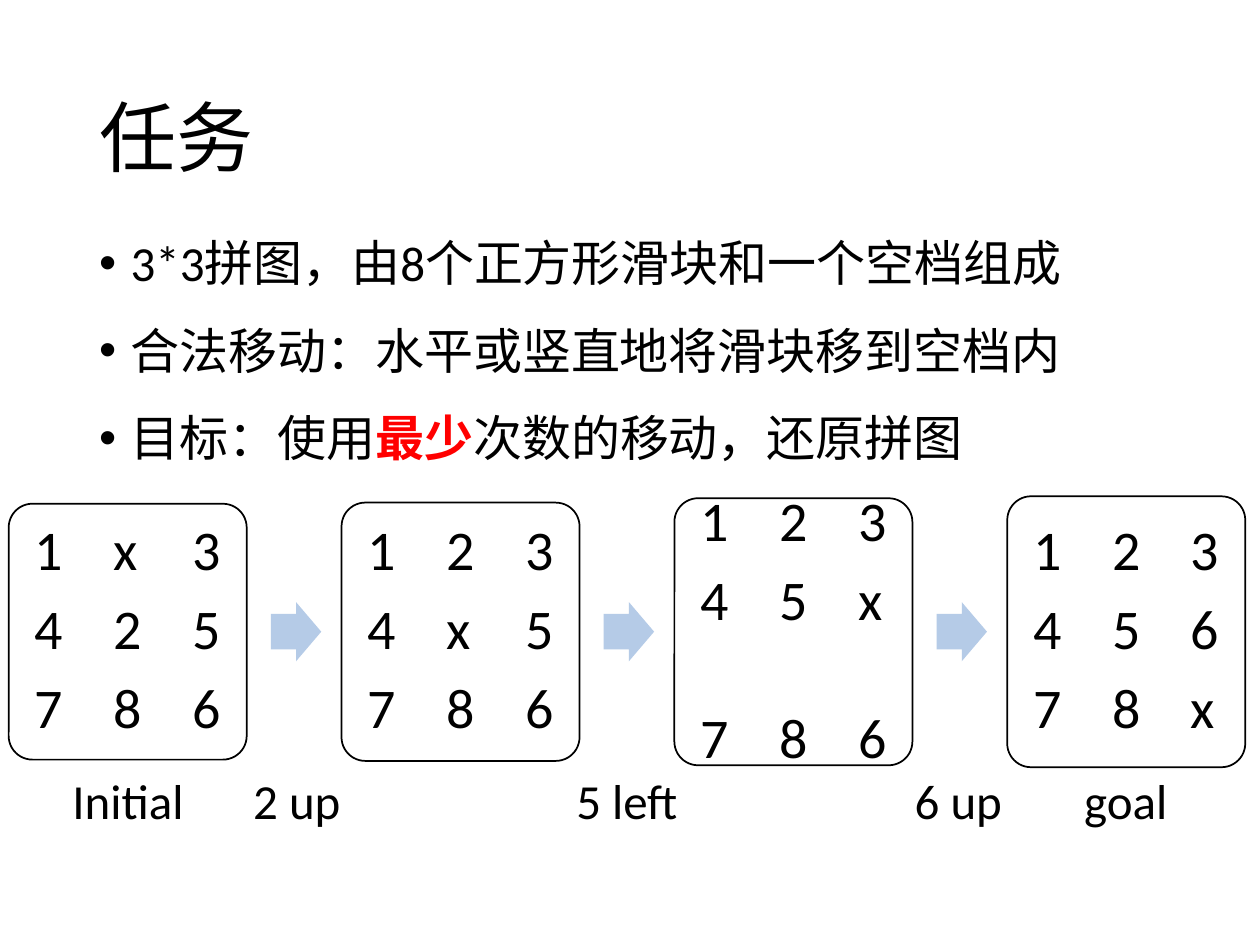
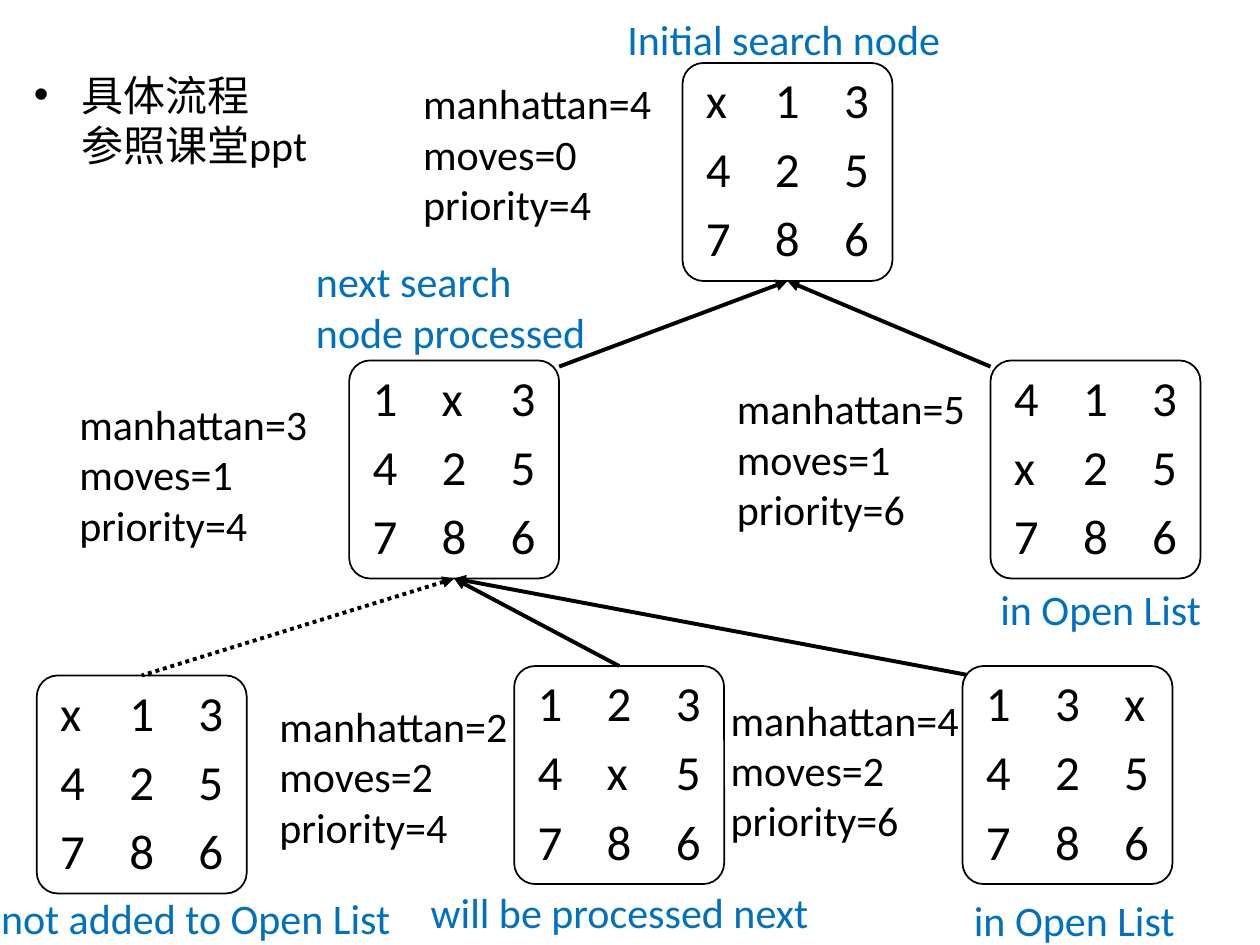
import pptx
import pptx.dml.color
import pptx.enum.dml
import pptx.enum.shapes
import pptx.enum.text
import pptx.oxml.ns
import pptx.util
from lxml import etree

Pt = pptx.util.Pt
SHAPES = pptx.enum.shapes.MSO_SHAPE
ALIGN = pptx.enum.text.PP_ALIGN
ANCHOR = pptx.enum.text.MSO_ANCHOR
qn = pptx.oxml.ns.qn

BLACK = pptx.dml.color.RGBColor(0x00, 0x00, 0x00)
RED = pptx.dml.color.RGBColor(0xFF, 0x00, 0x00)
BLUE = pptx.dml.color.RGBColor(0x00, 0x70, 0xC0)
PALE_BLUE = pptx.dml.color.RGBColor(0xB5, 0xCB, 0xE7)
FONT = "Calibri"
CORNER = 0.1          # corner radius of a board, as a share of its short side
TILE_PITCH = 1.41     # distance between tile columns, in ems
BOARD_TEXT = 3.33     # width of a row of three tiles, in ems


def write(frame, lines, size, colour=BLACK, hanging=None, bulleted=None, **layout):
    """Fill a text frame with lines, each a list of runs; layout holds paragraph formats."""
    frame.word_wrap = True
    frame.auto_size = pptx.enum.text.MSO_AUTO_SIZE.NONE
    for index, line in enumerate(lines):
        paragraph = frame.paragraphs[0] if index == 0 else frame.add_paragraph()
        for attribute, value in layout.items():
            setattr(paragraph, attribute, value)
        for words in line:
            run = paragraph.add_run()
            run.text = words
            run.font.name, run.font.size = FONT, Pt(size)
            run.font.color.rgb = colour
        if hanging:
            properties = paragraph._p.get_or_add_pPr()
            properties.set("marL", str(Pt(hanging)))
            properties.set("indent", str(-Pt(hanging) if index < bulleted else 0))
            if index < bulleted:
                etree.SubElement(properties, qn("a:buFont")).set("typeface", "Arial")
                etree.SubElement(properties, qn("a:buChar")).set("char", "•")
            else:
                etree.SubElement(properties, qn("a:buNone"))


def draw_board(slide, left, top, width, height, rows, size):
    """Draw a rounded puzzle board with three tile columns and return it."""
    board = slide.shapes.add_shape(SHAPES.ROUNDED_RECTANGLE, Pt(left), Pt(top),
                                   Pt(width), Pt(height))
    board.adjustments[0] = CORNER
    board.shadow.inherit = False
    board.fill.background()
    board.line.color.rgb, board.line.width = BLACK, Pt(1)
    frame = board.text_frame
    corner_inset = 0.29 * CORNER * min(width, height)
    margins = {"margin_left": Pt((width - BOARD_TEXT * size) / 2 - corner_inset),
               "margin_right": 0, "margin_top": Pt(9.4), "margin_bottom": Pt(9.4),
               "vertical_anchor": ANCHOR.MIDDLE}
    for attribute, value in margins.items():
        setattr(frame, attribute, value)
    write(frame, [["\t".join(row)] for row in rows.split()], size,
          alignment=ALIGN.LEFT, line_spacing=0.9, space_after=Pt(0.33 * size))
    for paragraph in frame.paragraphs:
        stops = etree.SubElement(paragraph._p.get_or_add_pPr(), qn("a:tabLst"))
        for column in (1, 2):
            stop = etree.SubElement(stops, qn("a:tab"))
            stop.set("pos", str(Pt(column * TILE_PITCH * size)))
            stop.set("algn", "l")
    return board


deck = pptx.Presentation()
deck.slide_width, deck.slide_height = Pt(720), Pt(540)
content_layout = deck.slide_layouts[1]

# Slide 1: the task
task = deck.slides.add_slide(content_layout)
heading, rules = task.shapes.title, task.placeholders[1]
heading_box = {"left": 49.5, "top": 28.8, "width": 621, "height": 104.4}
rules_box = {"left": 49.5, "top": 123, "width": 621, "height": 363}
for placeholder, box in ((heading, heading_box), (rules, rules_box)):
    for side, length in box.items():
        setattr(placeholder, side, Pt(length))
heading.text_frame.vertical_anchor = ANCHOR.MIDDLE
write(heading.text_frame, [["任务"]], 44, alignment=ALIGN.LEFT, line_spacing=0.9)
write(rules.text_frame,
      [["3*3拼图，由8个正方形滑块和一个空档组成"],
       ["合法移动：水平或竖直地将滑块移到空档内"],
       ["目标：使用", "最少", "次数的移动，还原拼图"]],
      28, hanging=18, bulleted=3, line_spacing=Pt(40), space_before=Pt(10))
fewest = rules.text_frame.paragraphs[2].runs[1].font
fewest.bold = True
fewest.color.rgb = RED

STEP, MIDDLE = 190.2, 361
states = [("1x3 425 786", 146.2), ("123 4x5 786", 147.6),
          ("123 45x 786", 152.6), ("123 456 78x", 154.8)]
boards = []
for index, (rows, height) in enumerate(states):
    left = 5 + index * STEP
    boards.append(draw_board(task, left, MIDDLE - height / 2, 136, height, rows, 32))
    if index < len(states) - 1:
        arrow = task.shapes.add_shape(SHAPES.RIGHT_ARROW, Pt(left + 149.8),
                                      Pt(MIDDLE - 16.9), Pt(28.8), Pt(33.8))
        arrow.adjustments[0], arrow.adjustments[1] = 0.6, 0.5
        arrow.shadow.inherit = False
        arrow.fill.solid()
        arrow.fill.fore_color.rgb = PALE_BLUE
        arrow.line.fill.background()
# The third board has a wide gap above its last row.
boards[2].text_frame.paragraphs[1].space_after = Pt(44.5)

captions = [("Initial", 17.3), ("2 up", 113.8), ("5 left", 302.4),
            ("6 up", 491.8), ("goal", 587.5)]
for caption, left in captions:
    label = task.shapes.add_textbox(Pt(left), Pt(437), Pt(111.6), Pt(41))
    write(label.text_frame, [[caption]], 28, alignment=ALIGN.CENTER)

# Slide 2: the search tree
search = deck.slides.add_slide(content_layout)
search.shapes.title._element.getparent().remove(search.shapes.title._element)
reference = search.placeholders[1]
reference_box = {"left": 12.2, "top": 36, "width": 201.6, "height": 65.5}
for side, length in reference_box.items():
    setattr(reference, side, Pt(length))
write(reference.text_frame, [["具体流程"], ["参照课堂ppt"]], 24,
      hanging=27, bulleted=1, space_before=Pt(0))

NODE_WIDTH, NODE_HEIGHT = 120, 124.6
nodes = {"root": (390, 36, "x13 425 786"),
         "next": (199.5, 206, "1x3 425 786"),
         "open": (566, 206, "413 x25 786"),
         "repeated": (21, 386, "x13 425 786"),
         "best": (293.8, 380.6, "123 4x5 786"),
         "worse": (550, 380.6, "13x 425 786")}
for left, top, rows in nodes.values():
    draw_board(search, left, top, NODE_WIDTH, NODE_HEIGHT, rows, 28)

# Parent, child, share of the child's width, drop below the child's top, dotted
links = [("root", "open", 0, 3.5, False), ("root", "next", 1, 3.5, False),
         ("next", "repeated", 0.5, 0, True), ("next", "best", 0.5, 0, False),
         ("next", "worse", 0.02, 5, False)]
for parent, child, share, drop, dotted in links:
    parent_left, parent_top = nodes[parent][:2]
    child_left, child_top = nodes[child][:2]
    link = search.shapes.add_connector(
        pptx.enum.shapes.MSO_CONNECTOR.STRAIGHT,
        Pt(parent_left + NODE_WIDTH / 2), Pt(parent_top + NODE_HEIGHT),
        Pt(child_left + share * NODE_WIDTH), Pt(child_top + drop))
    link.line.color.rgb, link.line.width = BLACK, Pt(2.25)
    if dotted:
        link.line.dash_style = pptx.enum.dml.MSO_LINE.ROUND_DOT
    outline = link.line._get_or_add_ln()
    etree.SubElement(outline, qn("a:headEnd")).set("type", "triangle")
    etree.SubElement(link._element.spPr, qn("a:effectLst"))

# Left, top, manhattan distance, moves so far
scores = [(234.7, 41, 4, 0), (414, 215.3, 5, 1), (38.2, 224, 3, 1),
          (152.6, 396.7, 2, 2), (410.4, 393.1, 4, 2)]
for left, top, distance, moves in scores:
    score = search.shapes.add_textbox(Pt(left), Pt(top), Pt(150.5), Pt(94.3))
    write(score.text_frame, [[f"manhattan={distance}"], [f"moves={moves}"],
                             [f"priority={distance + moves}"]], 24)

remarks = [(351.4, 4.3, 201.6, ["Initial search node"]),
           (173.5, 142.6, 172, ["next search", "node processed"]),
           (564.5, 329.8, 135.4, ["in Open List"]),
           (-6.5, 506.2, 242, ["not added to Open List"]),
           (239, 503.3, 242, ["will be processed next"]),
           (549.4, 507.6, 135.4, ["in Open List"])]
for left, top, width, lines in remarks:
    remark = search.shapes.add_textbox(Pt(left), Pt(top), Pt(width),
                                       Pt(7.2 + 29 * len(lines)))
    write(remark.text_frame, [[line] for line in lines], 24, BLUE)

deck.save("out.pptx")
